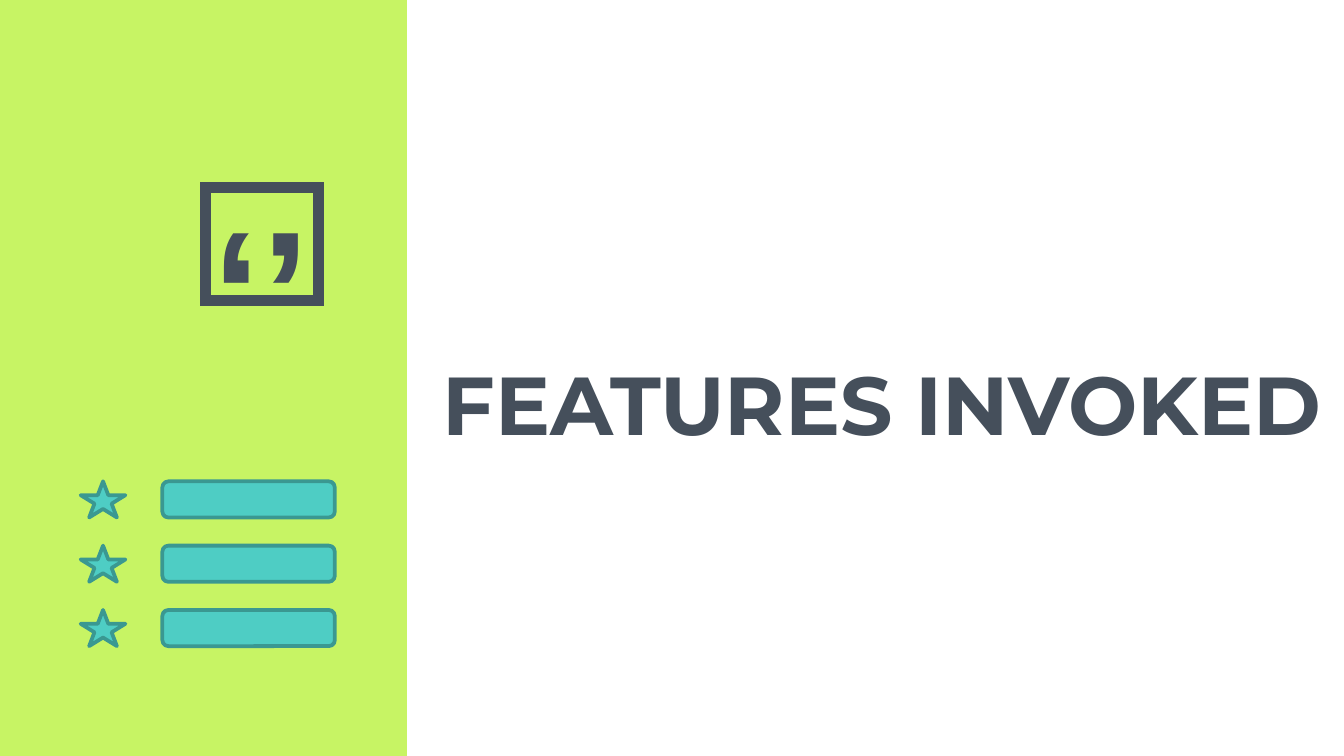
from dataclasses import dataclass

from lxml import etree
from pptx import Presentation
from pptx.dml.color import RGBColor
from pptx.enum import shapes, text
from pptx.oxml.ns import qn
from pptx.util import Pt


@dataclass(frozen=True)
class Theme:
    lime: str = "C7F464"
    teal: str = "4ECDC4"
    teal_edge: str = "3A9891"
    slate: str = "454F5B"
    title_font: str = "Montserrat"
    quote_font: str = "Arial"
    title_size: int = 44
    quote_size: int = 94


class SlideBuilder:
    def __init__(self, slide, theme):
        self.slide = slide
        self.theme = theme

    def shape(self, kind, left, top, width, height, fill=None, line=None, weight=2):
        shape = self.slide.shapes.add_shape(
            kind, Pt(left), Pt(top), Pt(width), Pt(height))
        shape.shadow.inherit = False
        if fill:
            shape.fill.solid()
            shape.fill.fore_color.rgb = RGBColor.from_string(fill)
        else:
            shape.fill.background()
        if line:
            shape.line.color.rgb = RGBColor.from_string(line)
            shape.line.width = Pt(weight)
        else:
            shape.line.fill.background()
        return shape

    def frame(self, left, top, size, weight):
        shape = self.shape(shapes.MSO_SHAPE.RECTANGLE, left, top, size, size,
                           line=self.theme.slate, weight=weight)
        # Square corners on the outline
        outline = shape.line._get_or_add_ln()
        etree.SubElement(outline, qn("a:miter"), lim="800000")
        return shape

    def label(self, words, left, top, width, height, font, size, inset_top=3.6):
        box = self.slide.shapes.add_textbox(
            Pt(left), Pt(top), Pt(width), Pt(height))
        frame = box.text_frame
        frame.word_wrap = True
        frame.vertical_anchor = text.MSO_ANCHOR.TOP
        frame.margin_top = Pt(inset_top)
        paragraph = frame.paragraphs[0]
        paragraph.alignment = text.PP_ALIGN.CENTER
        run = paragraph.add_run()
        run.text = words
        run.font.name = font
        run.font.size = Pt(size)
        run.font.bold = True
        run.font.color.rgb = RGBColor.from_string(self.theme.slate)
        return box


def main():
    presentation = Presentation()
    presentation.slide_width = Pt(720)
    presentation.slide_height = Pt(405)
    theme = Theme()
    slide = presentation.slides.add_slide(presentation.slide_layouts[6])
    builder = SlideBuilder(slide, theme)
    kinds = shapes.MSO_SHAPE

    # Side panel
    builder.shape(kinds.RECTANGLE, 0, 0, 218, 405, fill=theme.lime)

    # Framed quotation marks
    builder.label("‘’", 63, 88.6, 154, 51, theme.quote_font,
                  theme.quote_size, inset_top=7.2)
    builder.frame(110.1, 100.6, 60.5, weight=6)

    # Title
    builder.label("FEATURES INVOKED", 205.2, 185.8, 535, 131.8,
                  theme.title_font, theme.title_size)

    # Feature list: bars, then stars, on the same three rows
    columns = [(kinds.ROUNDED_RECTANGLE, 87, 92.4), (kinds.STAR_5_POINT, 43.2, 24)]
    for kind, left, width in columns:
        for row in range(3):
            builder.shape(kind, left, 257.9 + 34.45 * row, width, 19.4,
                          fill=theme.teal, line=theme.teal_edge)

    presentation.save("out.pptx")


if __name__ == "__main__":
    main()
